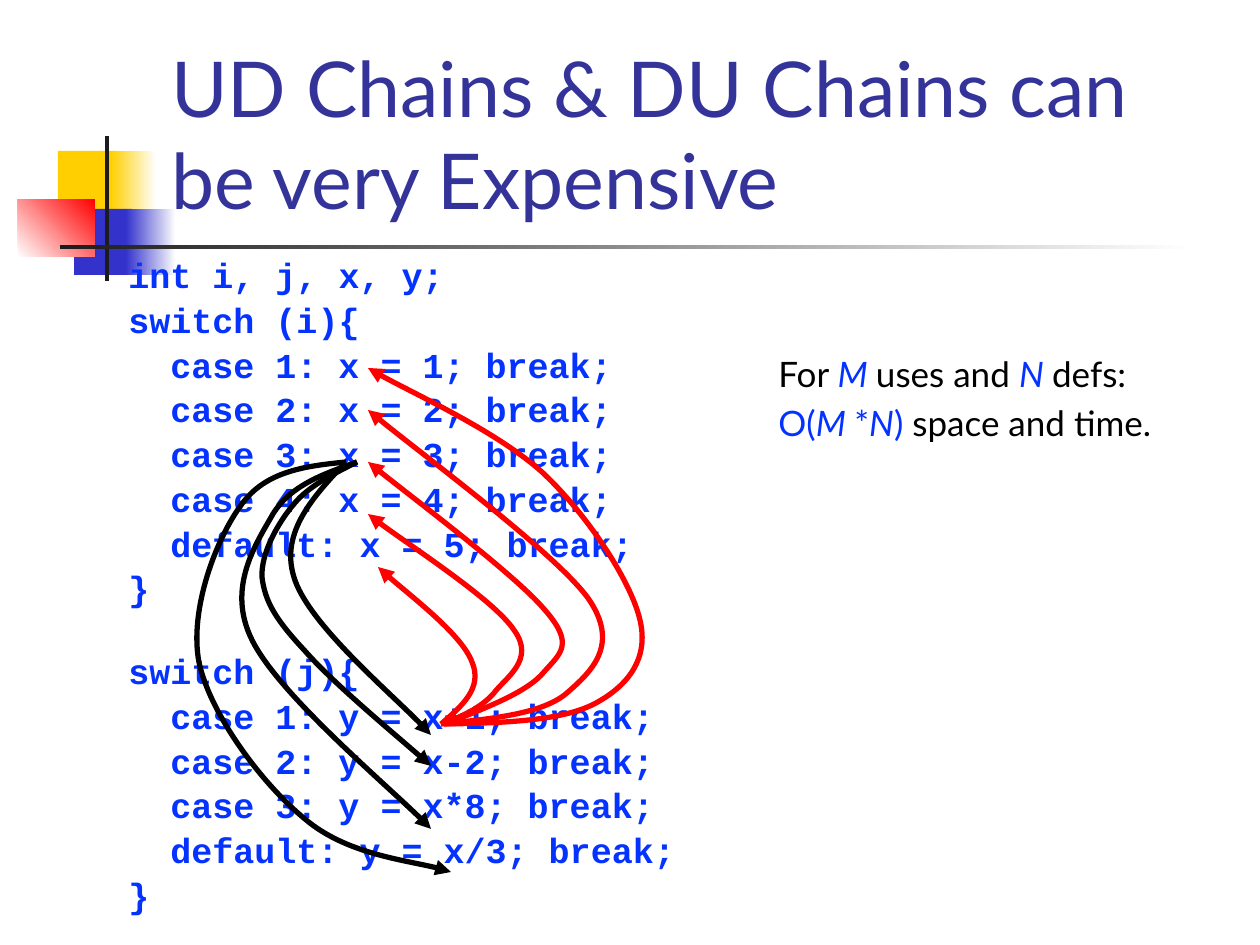
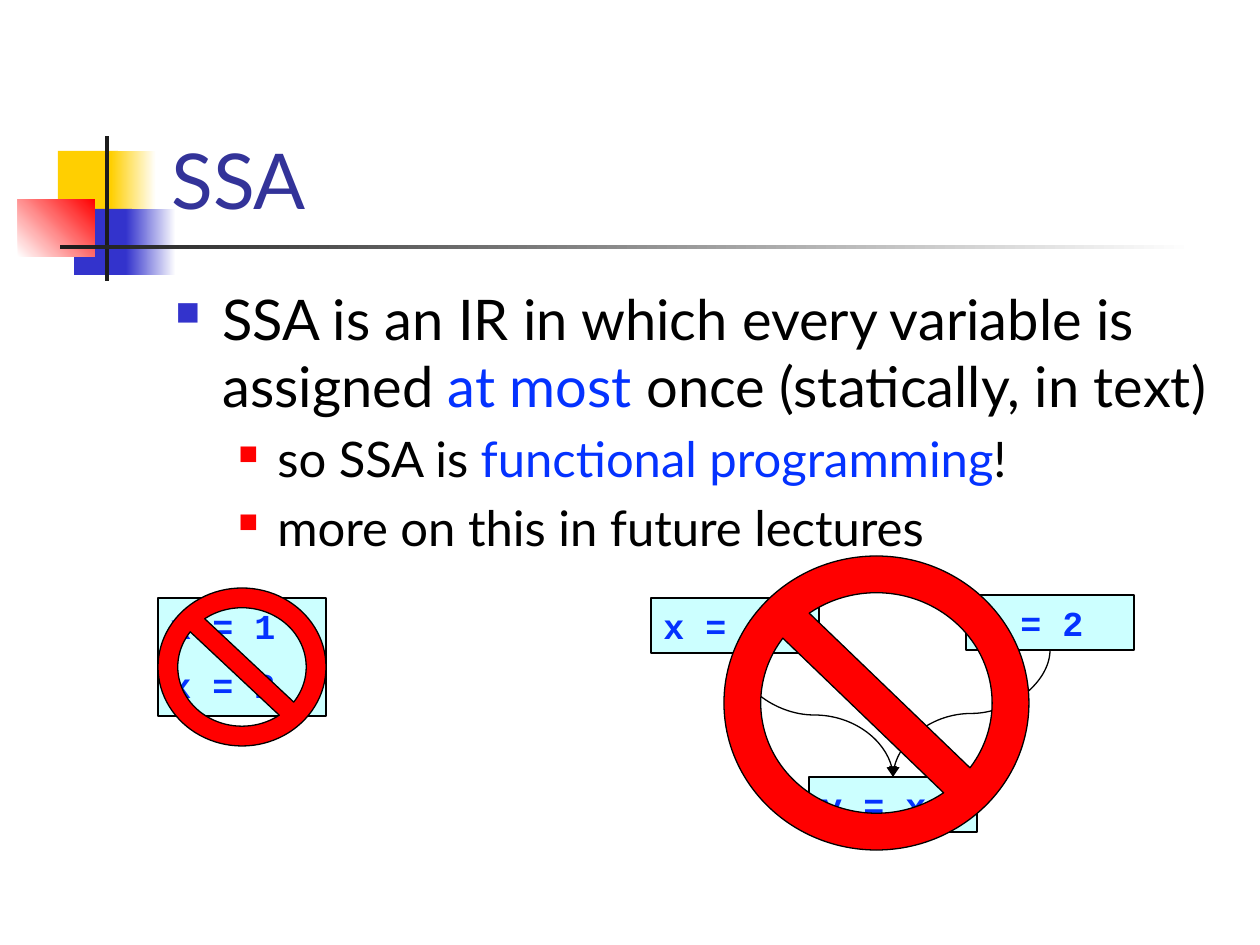
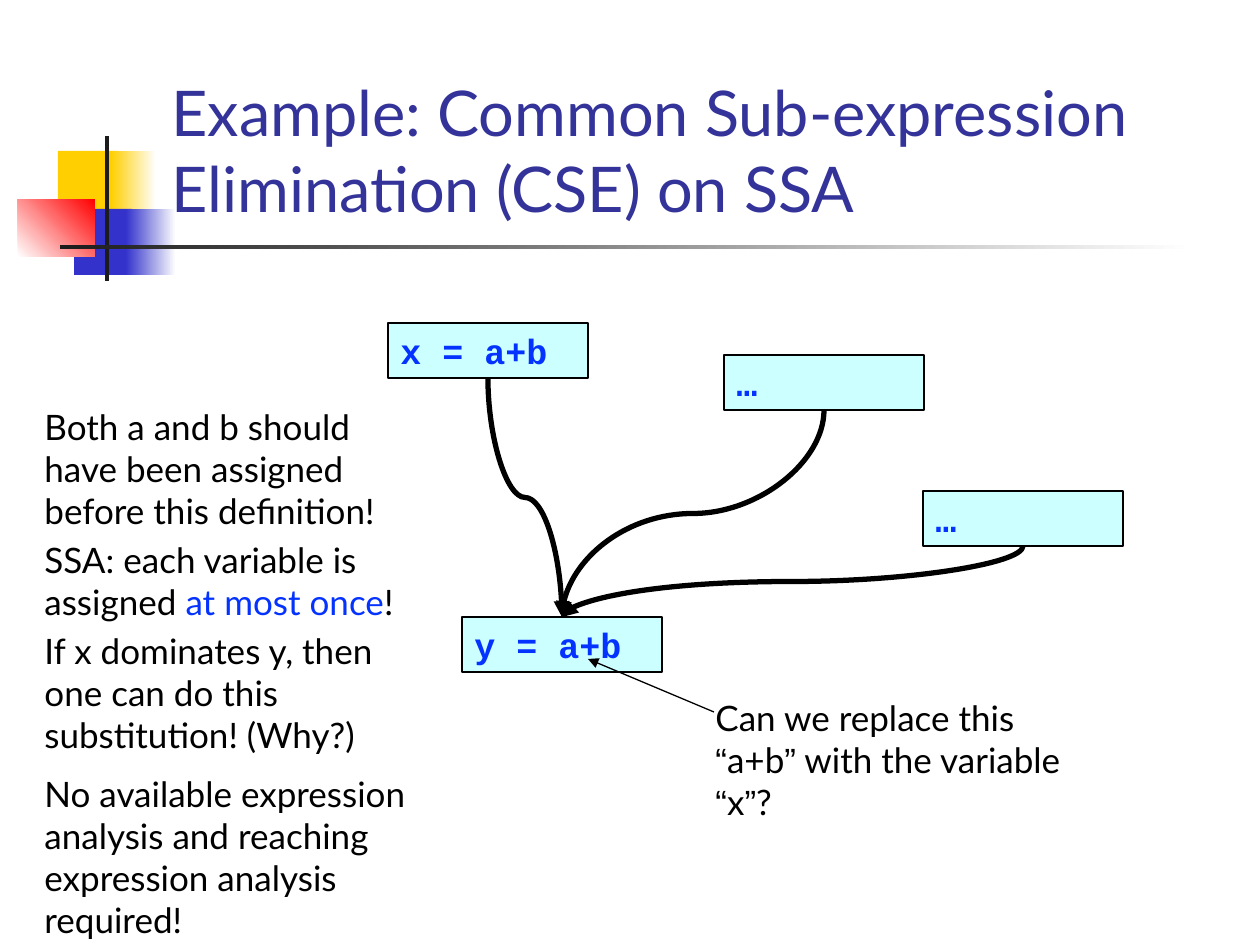
from collections import namedtuple

from lxml import etree
from pptx import Presentation
from pptx import util as u
from pptx.dml.color import RGBColor
from pptx.enum import shapes, text
from pptx.oxml.ns import qn

SCALE = 914400 / 126

WHITE = RGBColor(0xFF, 0xFF, 0xFF)
BLACK = RGBColor(0x00, 0x00, 0x00)
CHARCOAL = RGBColor(0x1C, 0x1C, 0x1C)
YELLOW = RGBColor(0xFF, 0xCF, 0x01)
INDIGO = RGBColor(0x33, 0x33, 0xCC)
NAVY = RGBColor(0x33, 0x33, 0x99)
RED = RGBColor(0xFF, 0x00, 0x00)
BLUE = RGBColor(0x04, 0x32, 0xFF)
CYAN = RGBColor(0xCC, 0xFF, 0xFF)

Box = namedtuple("Box", "left top width height")
Style = namedtuple("Style", "face size colour bold before spacing", defaults=(False, None, None))
Span = namedtuple("Span", "text colour italic face", defaults=(None, None, None))
Bullet = namedtuple("Bullet", "level margin hang colour percent")

TITLE = Style("Lato", 44, NAVY)
SMALL_TITLE = TITLE._replace(size=36)
CODE = Style("Courier New", 20, BLUE, True, 20, 0.9)
NODE = Style("Courier New", 20, BLUE, True, 50)
NOTE = Style("Lato", 20, BLACK, before=20)
REMARK = NOTE._replace(before=50)
POINT = NOTE._replace(size=32)
SUBPOINT = NOTE._replace(size=28)

TITLE_BOX = Box(159, 29, 1074, 202)
TOP_BULLET = Bullet(0, 47, 47, INDIGO, 60)
SUB_BULLET = Bullet(1, 102, 39, RED, 55)

PROGRAM = [
    (0, "int i, j, x, y;"),
    (0, "switch (i){"),
    (1, "case 1: x = 1; break;"),
    (1, "case 2: x = 2; break;"),
    (1, "case 3: x = 3; break;"),
    (1, "case 4: x = 4; break;"),
    (1, "default: x = 5; break;"),
    (0, "}"),
    (0, "switch (j){"),
    (1, "case 1: y = x+1; break;"),
    (1, "case 2: y = x-2; break;"),
    (1, "case 3: y = x*8; break;"),
    (1, "default: y = x/3; break;"),
    (0, "}"),
]
USE_TO_DEFS = [
    [(325, 472), (345, 465), (365, 456), (378, 441), (389, 426), (420, 408), (398, 378),
     (378, 348), (276, 282), (252, 262)],
    [(325, 472), (375, 467), (427, 462), (451, 441), (475, 420), (505, 393), (472, 346),
     (438, 300), (288, 189), (252, 158)],
    [(329, 472), (370, 456), (412, 440), (428, 420), (445, 401), (459, 392), (428, 357),
     (399, 323), (281, 234), (252, 210)],
    [(328, 472), (388, 471), (447, 469), (480, 451), (513, 433), (533, 406), (524, 368),
     (515, 329), (471, 262), (426, 220), (380, 179), (281, 134), (252, 116)],
    [(325, 472), (346, 454), (367, 436), (356, 410), (346, 383), (277, 330), (262, 315)],
]
DEF_TO_USES = [
    [(230, 210), (198, 244), (164, 280), (178, 325), (191, 370), (292, 456), (315, 483)],
    [(241, 210), (208, 222), (175, 233), (157, 262), (140, 292), (110, 336), (136, 388),
     (162, 441), (286, 546), (315, 577)],
    [(241, 210), (218, 222), (194, 233), (178, 252), (162, 271), (145, 301), (146, 325),
     (149, 350), (160, 368), (189, 399), (217, 431), (294, 495), (315, 514)],
    [(230, 210), (190, 214), (150, 219), (126, 252), (101, 285), (73, 357), (83, 410),
     (94, 462), (146, 532), (189, 567), (230, 602), (311, 611), (335, 620)],
]


def px(length):
    """Turn a length in px into EMU."""
    return u.Emu(round(length * SCALE))


def add_element(parent, tag, **attributes):
    """Append a DrawingML child element."""
    return etree.SubElement(parent, qn(tag), **attributes)


def set_space_before(paragraph, percent):
    """Set the space above a paragraph as a share of its line."""
    paragraph.space_before = 0
    spacing = paragraph._p.pPr.find(qn("a:spcBef"))
    spacing.remove(spacing[0])
    add_element(spacing, "a:spcPct", val=str(percent * 1000))


def set_indent(paragraph, margin, hang=0):
    """Indent a paragraph, with its first line hanging back."""
    properties = paragraph._p.get_or_add_pPr()
    properties.set("marL", str(px(margin)))
    properties.set("indent", str(-px(hang)))


def set_bullet(paragraph, bullet):
    """Give a paragraph a coloured square bullet."""
    paragraph.level = bullet.level
    set_indent(paragraph, bullet.margin, bullet.hang)
    properties = paragraph._p.get_or_add_pPr()
    add_element(add_element(properties, "a:buClr"), "a:srgbClr", val=str(bullet.colour))
    add_element(properties, "a:buSzPct", val=str(bullet.percent * 1000))
    add_element(properties, "a:buChar", char="■")


def write_paragraph(frame, spans, style, bullet=None):
    """Fill the empty first paragraph, or a new one, with styled spans."""
    first = frame.paragraphs[0]
    paragraph = frame.add_paragraph() if first.runs else first
    paragraph.alignment = text.PP_ALIGN.LEFT
    if bullet:
        set_bullet(paragraph, bullet)
    if style.before is not None:
        set_space_before(paragraph, style.before)
    if style.spacing:
        paragraph.line_spacing = style.spacing
    font = paragraph.font
    font.name, font.size, font.bold = style.face, u.Pt(style.size), style.bold
    font.color.rgb = style.colour
    for span in spans:
        run = paragraph.add_run()
        run.text = span.text
        if span.colour is not None:
            run.font.color.rgb = span.colour
        if span.italic:
            run.font.italic = True
        if span.face:
            run.font.name = span.face
    return paragraph


def add_text_frame(slide, box, anchor=text.MSO_ANCHOR.TOP):
    """Add a wrapping text box and return its frame."""
    frame = slide.shapes.add_textbox(*map(px, box)).text_frame
    frame.word_wrap = True
    frame.vertical_anchor = anchor
    return frame


def add_note(slide, box, style, *paragraphs):
    """Add a text box with one paragraph for each list of spans."""
    frame = add_text_frame(slide, box)
    for spans in paragraphs:
        write_paragraph(frame, spans, style)


def add_preset(slide, kind, box, colour, line_width=0):
    """Add a filled preset shape, outlined in black if a width is given."""
    shape = slide.shapes.add_shape(kind, *map(px, box))
    shape.shadow.inherit = False
    shape.fill.solid()
    shape.fill.fore_color.rgb = colour
    if line_width:
        shape.line.color.rgb = BLACK
        shape.line.width = u.Pt(line_width)
    else:
        shape.line.fill.background()
    return shape


def add_fade(slide, box, start, end, angle=0):
    """Add a rectangle that fades from one colour to another."""
    fill = add_preset(slide, shapes.MSO_SHAPE.RECTANGLE, box, start).fill
    fill.gradient()
    fill.gradient_angle = angle
    for stop, colour in zip(fill.gradient_stops, (start, end)):
        stop.color.rgb = colour


def set_arrow(shape, colour, width):
    """Style a line and end it with a triangle."""
    shape.line.color.rgb = colour
    shape.line.width = u.Pt(width)
    add_element(shape.line._get_or_add_ln(), "a:tailEnd", type="triangle")


def add_arrow(slide, kind, ends, width):
    """Add a black arrow between two points in EMU."""
    connector = slide.shapes.add_connector(kind, *ends)
    set_arrow(connector, BLACK, width)
    add_element(connector._element.spPr, "a:effectLst")
    return connector


def add_flow(slide, source, target, width):
    """Curve from the bottom of one node down to the top of another."""
    start_x, start_y = source.left + source.width // 2, source.top + source.height
    end_x, end_y = target.left + target.width // 2, target.top
    middle_x, middle_y = (start_x + end_x) // 2, (start_y + end_y) // 2
    half_width, half_height = (end_y - start_y) // 2, abs(end_x - start_x) // 2
    rightward = end_x > start_x
    if rightward:
        half_width = -half_width
    ends = (middle_x - half_width, middle_y - half_height,
            middle_x + half_width, middle_y + half_height)
    connector = add_arrow(slide, shapes.MSO_CONNECTOR.CURVE, ends, width)
    frame = connector._element.spPr.find(qn("a:xfrm"))
    frame.set("rot", str((270 if rightward else 90) * 60000))


def add_chain(slide, box, points, colour):
    """Draw a Bezier arrow through points relative to the box."""
    builder = slide.shapes.build_freeform(*points[0], scale=SCALE)
    builder.add_line_segments(points[1:], close=False)
    shape = builder.convert_to_shape(px(box.left), px(box.top))
    shape.shadow.inherit = False
    shape.fill.background()
    set_arrow(shape, colour, 3)
    outline = shape._element.find(".//" + qn("a:path"))
    segments = outline.findall(qn("a:lnTo"))
    for index in range(0, len(segments), 3):
        curve = add_element(outline, "a:cubicBezTo")
        for segment in segments[index:index + 3]:
            curve.append(segment[0])
            outline.remove(segment)


def add_node(slide, box, *lines):
    """Add a cyan code box."""
    shape = add_preset(slide, shapes.MSO_SHAPE.RECTANGLE, box, CYAN, 0.75)
    frame = shape.text_frame
    frame.word_wrap = True
    frame.vertical_anchor = text.MSO_ANCHOR.TOP
    frame.auto_size = text.MSO_AUTO_SIZE.SHAPE_TO_FIT_TEXT
    for line in lines:
        write_paragraph(frame, [Span(line)], NODE)
    return shape


def add_ban(slide, box):
    """Add a red prohibition sign."""
    sign = add_preset(slide, shapes.MSO_SHAPE.NO_SYMBOL, box, RED, 0.75)
    sign.adjustments[0] = 0.125


def add_merge_graph(slide, box, node_width, target, sources, line_width):
    """Draw source nodes whose flows meet at one target node."""
    def place(left, top, label):
        return add_node(slide, Box(box.left + left, box.top + top, node_width, 55), label)

    target_node = place(*target)
    for source_node in [place(*source) for source in sources]:
        add_flow(slide, source_node, target_node, line_width)


def add_emblem(slide, box):
    """Draw the colour squares and crossed bars beside the title."""
    def place(left, top, width, height):
        return Box(box.left + left, box.top + top, width, height)

    rectangle = shapes.MSO_SHAPE.RECTANGLE
    add_preset(slide, rectangle, place(40, 15, 60, 66), YELLOW)
    add_fade(slide, place(93, 15, 45, 66), YELLOW, WHITE)
    add_preset(slide, rectangle, place(56, 73, 58, 66), INDIGO)
    add_fade(slide, place(108, 73, 50, 66), INDIGO, WHITE)
    add_fade(slide, place(0, 63, 77, 58), WHITE, RED, 45)
    add_preset(slide, rectangle, place(87, 0, 4, 145), CHARCOAL)
    add_fade(slide, place(42, 109, box.width - 42, 4), CHARCOAL, WHITE)


def add_titled_slide(presentation, title, style=TITLE):
    """Add a blank slide with the shared emblem and title."""
    slide = presentation.slides.add_slide(presentation.slide_layouts[6])
    add_emblem(slide, Box(18, 136, 1176, 145))
    frame = add_text_frame(slide, TITLE_BOX, text.MSO_ANCHOR.BOTTOM)
    write_paragraph(frame, [Span(title)], style)
    return slide


def add_program(slide, box):
    """Write the two switch statements and the chains between them."""
    frame = add_text_frame(slide, box)
    for level, line in PROGRAM:
        style = CODE._replace(before=128) if line == "switch (j){" else CODE
        set_indent(write_paragraph(frame, [Span(line)], style), 42 * level)
    for chains, colour in ((USE_TO_DEFS, RED), (DEF_TO_USES, BLACK)):
        for points in chains:
            add_chain(slide, box, points, colour)


def build_chains_slide(presentation):
    """Show how many chains link definitions and uses."""
    slide = add_titled_slide(presentation, "UD Chains & DU Chains can be very Expensive")
    add_program(slide, Box(116, 252, 1119, 567))
    add_note(
        slide, Box(766, 346, 451, 106), NOTE,
        [Span("For "), Span("M ", BLUE, True), Span("uses and "), Span("N ", BLUE, True),
         Span("defs:")],
        [Span("O(", BLUE), Span("M ", BLUE, True), Span("*", BLUE), Span("N", BLUE, True),
         Span(")", BLUE), Span(" space and time.")])


def build_ssa_slide(presentation):
    """Define SSA and show what it forbids."""
    slide = add_titled_slide(presentation, "SSA")
    frame = add_text_frame(slide, Box(163, 278, 1071, 567))
    write_paragraph(frame, [
        Span("SSA is an IR in which every variable is assigned "), Span("at most ", BLUE),
        Span("once (statically, in text)")], POINT, TOP_BULLET)
    write_paragraph(frame, [
        Span("so SSA is "), Span("functional programming", BLUE), Span("!")],
        SUBPOINT, SUB_BULLET)
    write_paragraph(frame, [Span("more on this in future lectures")], SUBPOINT, SUB_BULLET)
    add_node(slide, Box(158, 598, 168, 118), "x = 1", "x = 2")
    add_ban(slide, Box(158, 588, 168, 158))
    add_merge_graph(slide, Box(651, 595, 483, 237), 168, (158, 182, "y = x"),
                    [(0, 3, "x = 1"), (315, 0, "x = 2")], 0.75)
    add_ban(slide, Box(724, 556, 305, 294))


def build_cse_slide(presentation):
    """Ask when a common sub-expression can be replaced."""
    slide = add_titled_slide(
        presentation, "Example: Common Sub-expression Elimination (CSE) on SSA", SMALL_TITLE)
    add_merge_graph(slide, Box(388, 323, 735, 349), 200, (74, 294, "y = a+b"),
                    [(0, 0, "x = a+b"), (336, 32, "…"), (535, 168, "…")], 3)
    add_note(
        slide, Box(32, 399, 410, 369), NOTE,
        [Span("Both a and b should have been assigned before this definition!")],
        [Span("SSA: each variable is assigned "), Span("at most once", BLUE), Span("!")],
        [Span("If x dominates y, then one can do this substitution! (Why?)")])
    opening, closing = Span("“", face="Arial"), Span("”", face="Arial")
    add_note(
        slide, Box(703, 690, 410, 139), REMARK,
        [Span("Can we replace this "), opening, Span("a+b"), closing,
         Span(" with the variable "), opening, Span("x"), closing, Span("?")])
    add_arrow(slide, shapes.MSO_CONNECTOR.STRAIGHT, map(px, (714, 712, 588, 659)), 0.75)
    add_note(
        slide, Box(32, 766, 410, 183), REMARK,
        [Span("No available expression analysis and reaching expression analysis required!")])


def main():
    """Build and save the presentation."""
    presentation = Presentation()
    presentation.slide_width, presentation.slide_height = px(1260), px(945)
    build_chains_slide(presentation)
    build_ssa_slide(presentation)
    build_cse_slide(presentation)
    presentation.save("out.pptx")


if __name__ == "__main__":
    main()
